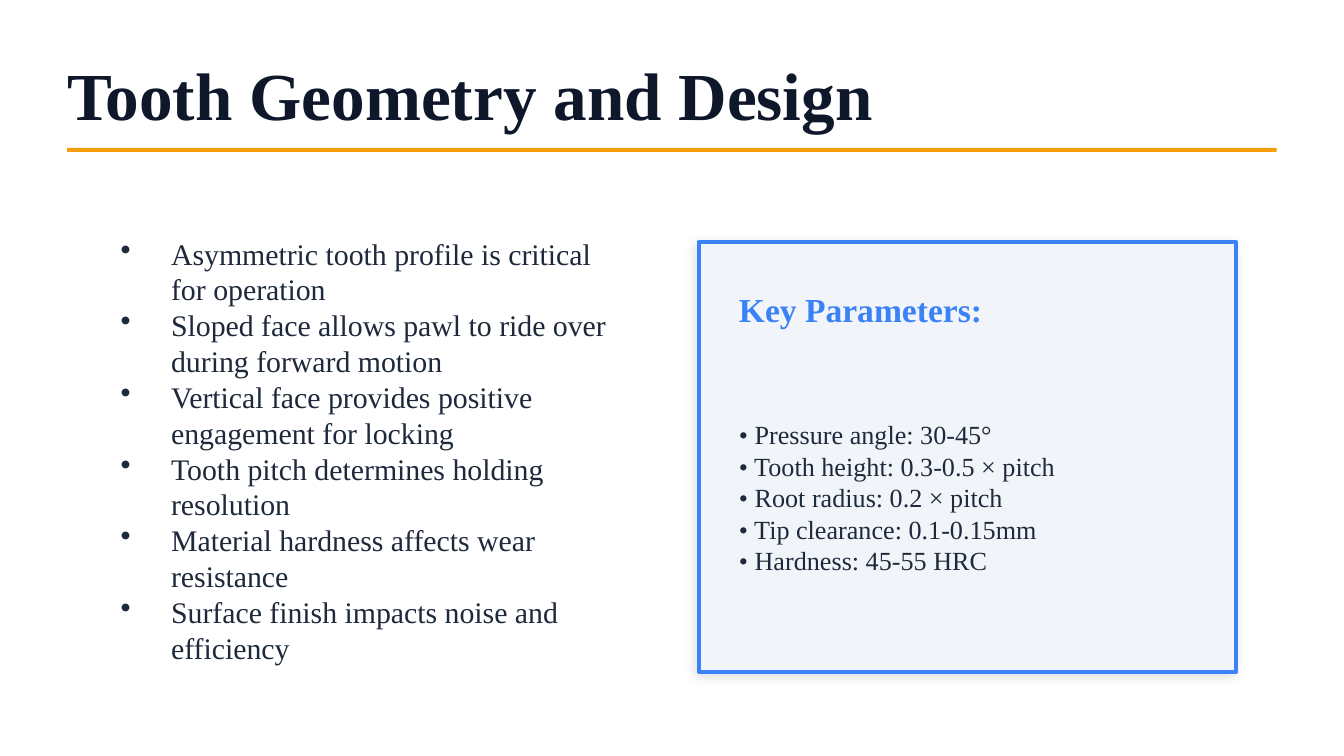
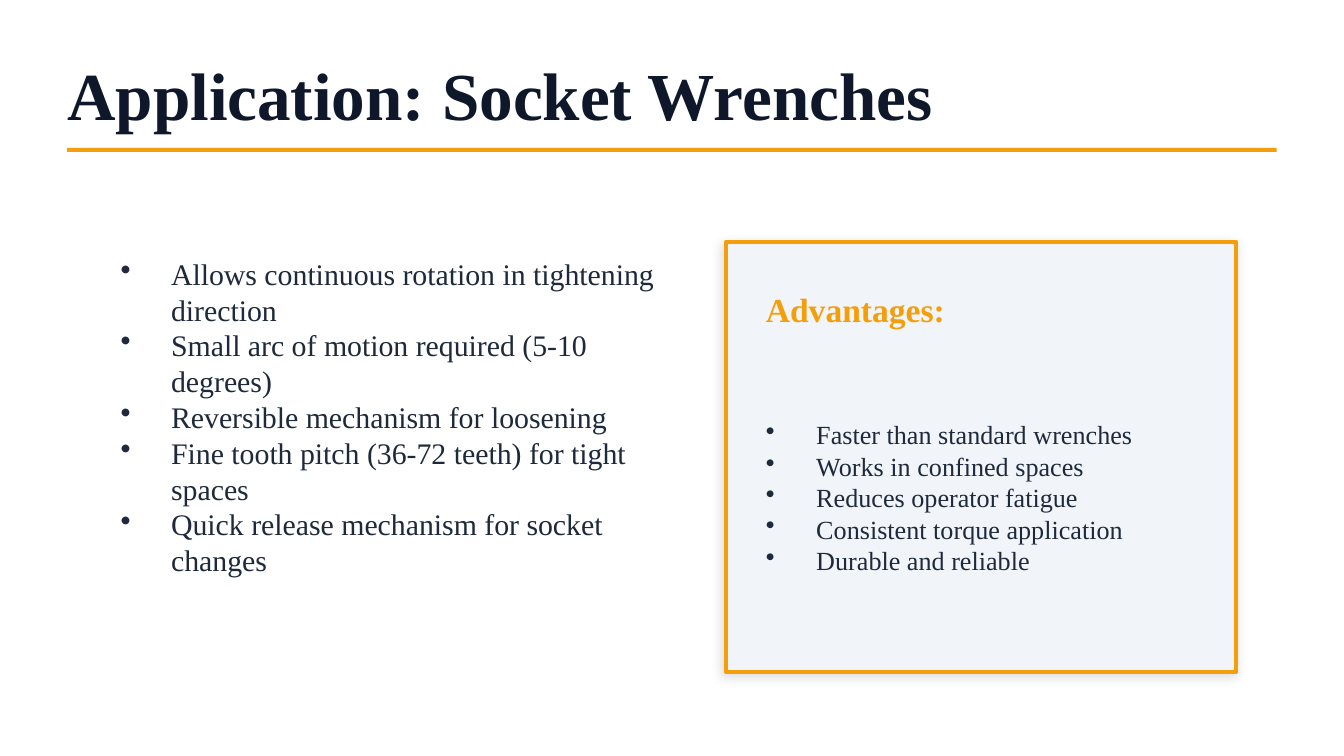
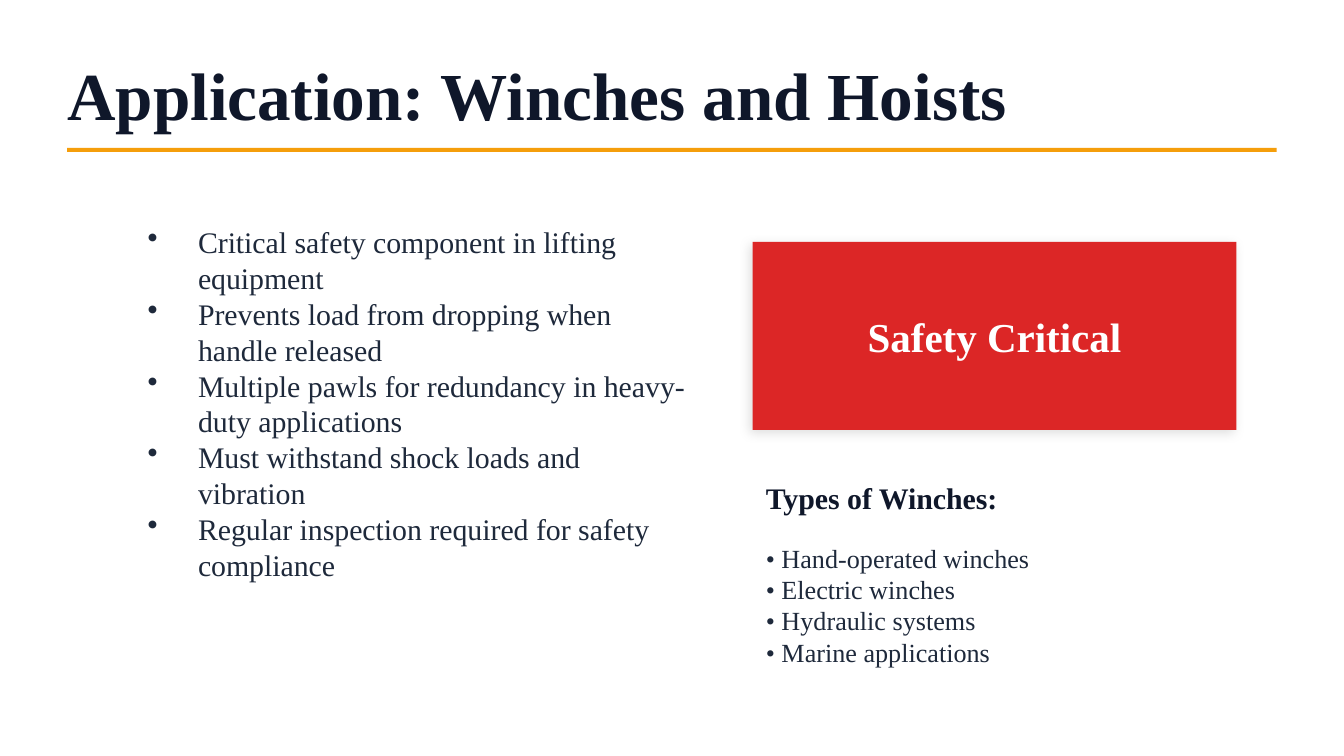
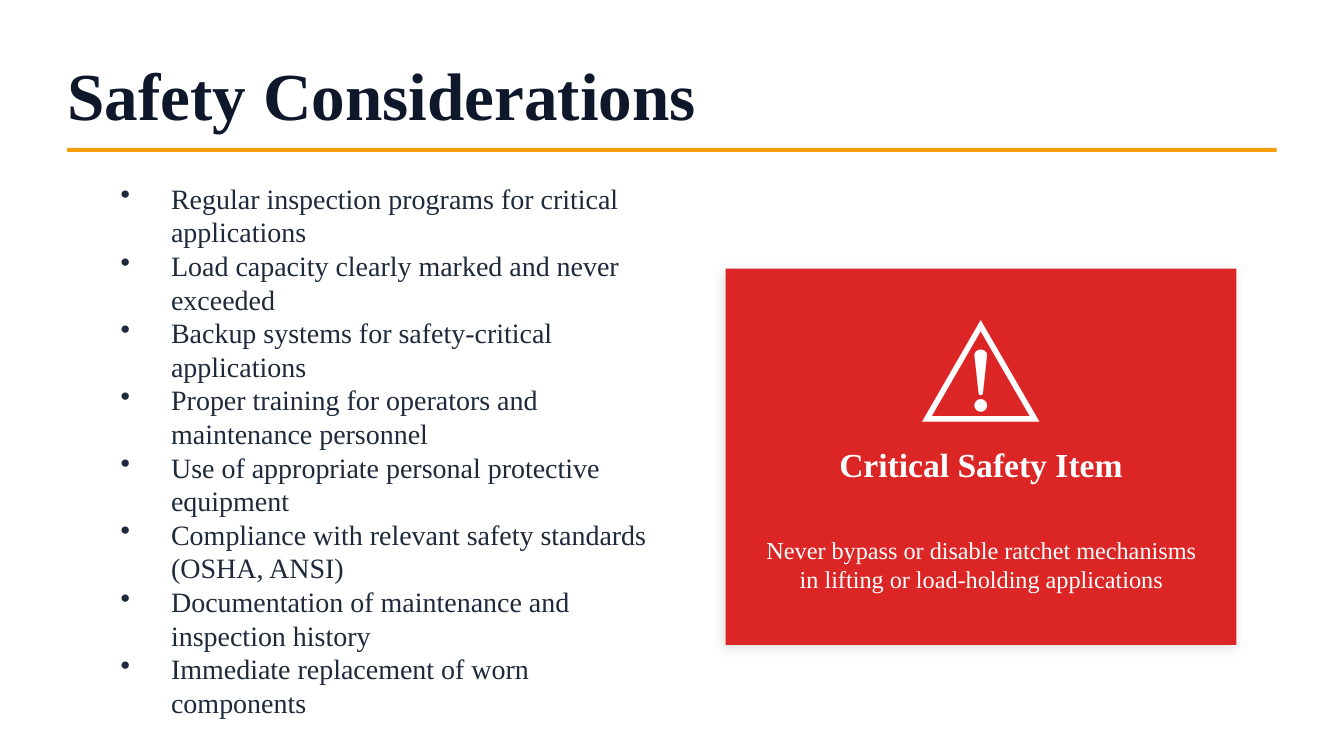
import pptx
import pptx.dml.color
import pptx.enum.lang
import pptx.enum.shapes
import pptx.enum.text
import pptx.oxml
import pptx.oxml.ns
import pptx.util

Inches = pptx.util.Inches
ALIGN = pptx.enum.text.PP_ALIGN
FONT = "Times New Roman"
COLORS = {
    "background": "FFFFFF",
    "title": "0F172A",
    "body": "1E293B",
    "amber": "F59E0B",
    "blue": "3B82F6",
    "red": "DC2626",
    "panel": "F1F5F9",
    "white": "FFFFFF",
    "shadow": "000000",
}
SLIDE_WIDTH = Inches(10)
SLIDE_HEIGHT = SLIDE_WIDTH * 9 // 16
BULLET_INDENT = Inches(3 / 8)
PANEL_RIGHT = 9.2
PANEL_TOP = 1.8
PANEL_PADDING = 0.2


def rgb(name):
    return pptx.dml.color.RGBColor.from_string(COLORS[name])


def add_bullet(para):
    properties = para._p.get_or_add_pPr()
    properties.set("marL", str(BULLET_INDENT))
    properties.set("indent", str(-BULLET_INDENT))
    namespace = pptx.oxml.ns.nsdecls("a")
    for tag in ('buSzPct {} val="100000"', 'buChar {} char="•"'):
        properties.append(pptx.oxml.parse_xml(f"<a:{tag.format(namespace)}/>"))


def add_text(page, lines, left, top, width, height, size=14, color="body",
             bold=False, align=ALIGN.LEFT, bullets=False, margin=None):
    box = page.shapes.add_textbox(
        Inches(left), Inches(top), Inches(width), Inches(height))
    frame = box.text_frame
    frame.word_wrap = True
    frame.vertical_anchor = pptx.enum.text.MSO_ANCHOR.MIDDLE
    if margin is not None:
        frame.margin_left = frame.margin_right = Inches(margin)
        frame.margin_top = frame.margin_bottom = Inches(margin)
    for number, line in enumerate(lines):
        para = frame.add_paragraph() if number else frame.paragraphs[0]
        para.alignment = align
        if bullets:
            add_bullet(para)
        span = para.add_run()
        span.text = line
        span.font.language_id = pptx.enum.lang.MSO_LANGUAGE_ID.ENGLISH_US
        span.font.name = FONT
        span.font.size = pptx.util.Pt(size)
        span.font.bold = bold
        span.font.color.rgb = rgb(color)


def add_rectangle(page, left, top, width, height, fill, border=None):
    box = page.shapes.add_shape(
        pptx.enum.shapes.MSO_SHAPE.RECTANGLE,
        Inches(left), Inches(top), Inches(width), Inches(height))
    box.shadow.inherit = False
    box.fill.solid()
    box.fill.fore_color.rgb = rgb(fill)
    if border:
        box.line.color.rgb = rgb(border)
        box.line.width = pptx.util.Pt(2)
    else:
        box.line.fill.background()
    return box


def add_panel(page, left, top, height, fill, border=None):
    box = add_rectangle(page, left, top, PANEL_RIGHT - left, height, fill, border)
    effects = box._element.spPr.find(pptx.oxml.ns.qn("a:effectLst"))
    effects.append(pptx.oxml.parse_xml(
        f'<a:outerShdw {pptx.oxml.ns.nsdecls("a")} blurRad="{pptx.util.Pt(6)}" '
        f'dist="{pptx.util.Pt(2)}" dir="{135 * 60000}" algn="bl" rotWithShape="0">'
        f'<a:srgbClr val="{COLORS["shadow"]}"><a:alpha val="12000"/></a:srgbClr>'
        '</a:outerShdw>'))


def add_list_panel(page, heading, lines, left, accent, bullets=False):
    add_panel(page, left, PANEL_TOP, 3.2, "panel", accent)
    text_left = left + PANEL_PADDING
    text_width = PANEL_RIGHT - left - 2 * PANEL_PADDING
    add_text(page, [heading], text_left, 2.1, text_width, 0.4,
             size=18, color=accent, bold=True)
    add_text(page, lines, text_left, 2.6, text_width, 2.2, bullets=bullets)


def add_points(page, lines, left=0.8, width=4.2, height=3.5, size=16):
    add_text(page, lines, left, 1.6, width, height, size=size, bullets=True)


def add_page(deck, title):
    page = deck.slides.add_slide(deck.slide_layouts[6])
    page.background.fill.solid()
    page.background.fill.fore_color.rgb = rgb("background")
    add_text(page, [title], 0.5, 0.4, 9, 0.6,
             size=36, color="title", bold=True, margin=0)
    add_rectangle(page, 0.5, 1.1, 9, 0.03, "amber")
    return page


def build_tooth_geometry(deck):
    page = add_page(deck, "Tooth Geometry and Design")
    add_points(page, [
        "Asymmetric tooth profile is critical for operation",
        "Sloped face allows pawl to ride over during forward motion",
        "Vertical face provides positive engagement for locking",
        "Tooth pitch determines holding resolution",
        "Material hardness affects wear resistance",
        "Surface finish impacts noise and efficiency",
    ], width=4)
    add_list_panel(page, "Key Parameters:", [
        "• Pressure angle: 30-45°",
        "• Tooth height: 0.3-0.5 × pitch",
        "• Root radius: 0.2 × pitch",
        "• Tip clearance: 0.1-0.15mm",
        "• Hardness: 45-55 HRC",
    ], 5.2, "blue")


def build_socket_wrenches(deck):
    page = add_page(deck, "Application: Socket Wrenches")
    add_points(page, [
        "Allows continuous rotation in tightening direction",
        "Small arc of motion required (5-10 degrees)",
        "Reversible mechanism for loosening",
        "Fine tooth pitch (36-72 teeth) for tight spaces",
        "Quick release mechanism for socket changes",
    ], height=3)
    add_list_panel(page, "Advantages:", [
        "Faster than standard wrenches",
        "Works in confined spaces",
        "Reduces operator fatigue",
        "Consistent torque application",
        "Durable and reliable",
    ], 5.4, "amber", bullets=True)


def build_winches(deck):
    page = add_page(deck, "Application: Winches and Hoists")
    add_points(page, [
        "Critical safety component in lifting equipment",
        "Prevents load from dropping when handle released",
        "Multiple pawls for redundancy in heavy-duty applications",
        "Must withstand shock loads and vibration",
        "Regular inspection required for safety compliance",
    ], left=1, height=2.8)
    left, width = 5.6, 3.6
    add_panel(page, left, PANEL_TOP, 1.4, "red")
    add_text(page, ["Safety Critical"], left, 2.1, width, 0.8,
             size=22, color="white", bold=True, align=ALIGN.CENTER)
    add_text(page, ["Types of Winches:"], left, 3.5, width, 0.4,
             size=16, color="title", bold=True)
    add_text(page, [
        "• Hand-operated winches",
        "• Electric winches",
        "• Hydraulic systems",
        "• Marine applications",
    ], left, 4, width, 1)


def build_safety(deck):
    page = add_page(deck, "Safety Considerations")
    add_points(page, [
        "Regular inspection programs for critical applications",
        "Load capacity clearly marked and never exceeded",
        "Backup systems for safety-critical applications",
        "Proper training for operators and maintenance personnel",
        "Use of appropriate personal protective equipment",
        "Compliance with relevant safety standards (OSHA, ANSI)",
        "Documentation of maintenance and inspection history",
        "Immediate replacement of worn components",
    ], size=15)
    left, width = 5.4, 3.8
    warning = {"color": "white", "align": ALIGN.CENTER}
    add_panel(page, left, 2, 2.8, "red")
    add_text(page, ["⚠"], left, 2.3, width, 0.8, size=64, **warning)
    add_text(page, ["Critical Safety Item"], left, 3.2, width, 0.5,
             size=18, bold=True, **warning)
    add_text(page, ["Never bypass or disable ratchet mechanisms "
                    "in lifting or load-holding applications"],
             left + PANEL_PADDING, 3.8, width - 2 * PANEL_PADDING, 0.8,
             size=13, **warning)


def main():
    deck = pptx.Presentation()
    deck.slide_width = SLIDE_WIDTH
    deck.slide_height = SLIDE_HEIGHT
    build_tooth_geometry(deck)
    build_socket_wrenches(deck)
    build_winches(deck)
    build_safety(deck)
    deck.save("out.pptx")


if __name__ == "__main__":
    main()
